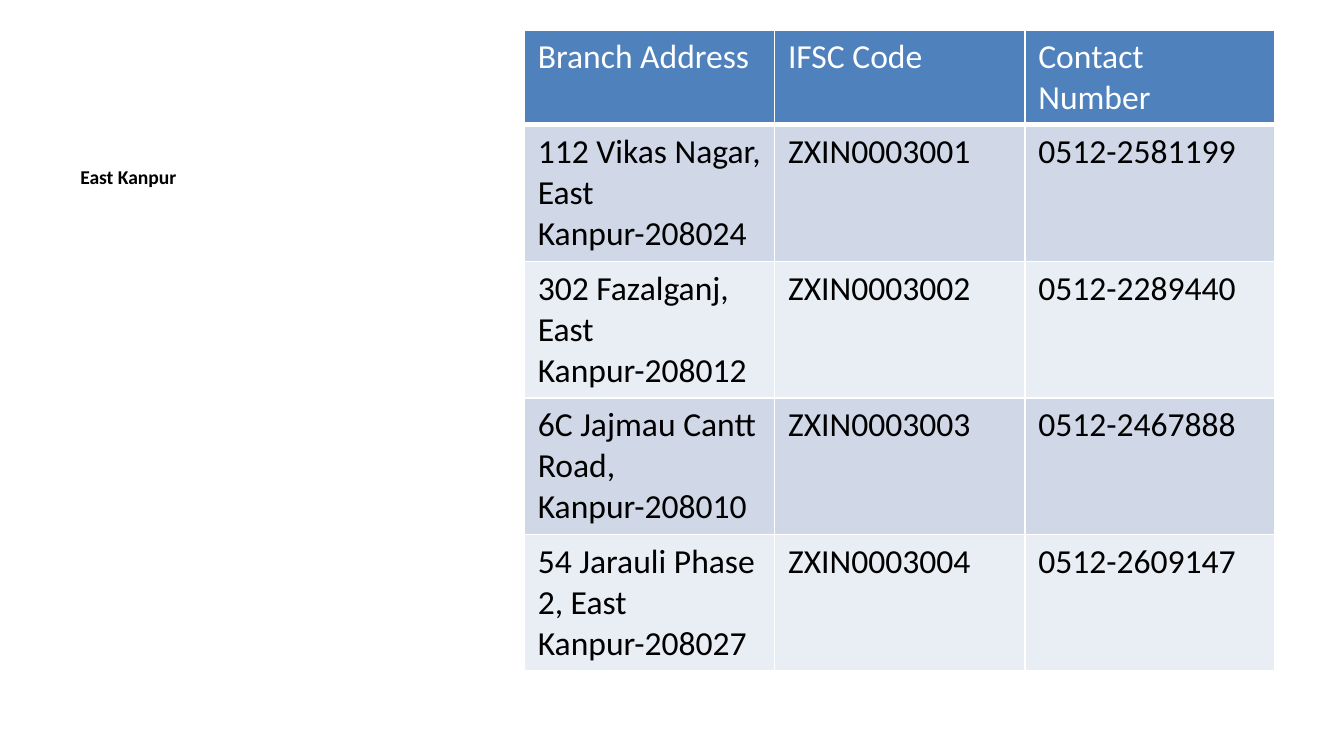
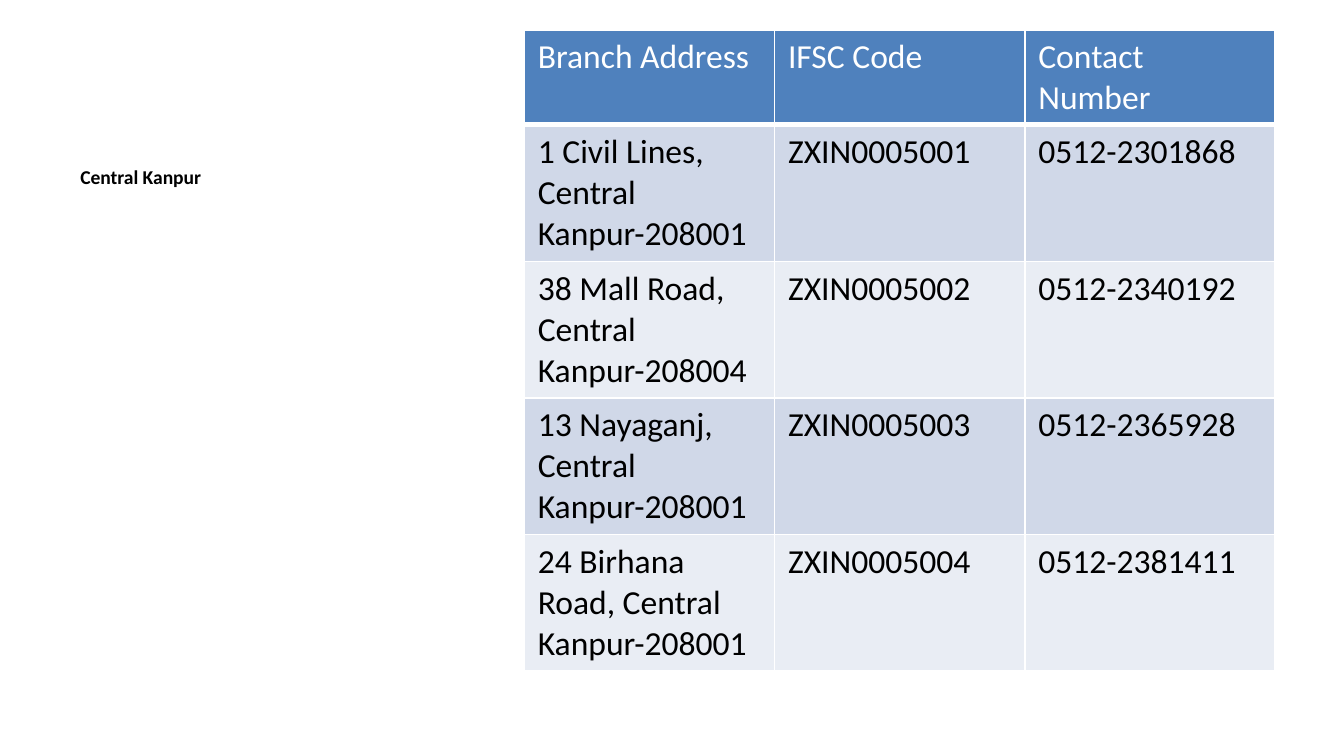
"""Build two slides that list bank branches by area of Kanpur."""
from lxml.etree import SubElement as Sub
from pptx import Presentation as Deck
from pptx.dml.color import RGBColor as Rgb
from pptx.oxml.ns import qn
from pptx.util import Cm, Pt

FONT = "Calibri"
WHITE, BLACK, BLUE = "FFFFFF", "000000", "4F81BD"
BANDS = ("D0D8E8", "E9EDF4")
HEADS = ("Branch Address", "IFSC Code", "Contact Number")
COL, HEAD, ROW = 4.73, 1.79, 2.58

AREAS = {
    "East Kanpur": (
        ("112 Vikas Nagar, East Kanpur-208024", "ZXIN0003001", "0512-2581199"),
        ("302 Fazalganj, East Kanpur-208012", "ZXIN0003002", "0512-2289440"),
        ("6C Jajmau Cantt Road, Kanpur-208010", "ZXIN0003003", "0512-2467888"),
        ("54 Jarauli Phase 2, East Kanpur-208027", "ZXIN0003004", "0512-2609147"),
    ),
    "Central Kanpur": (
        ("1 Civil Lines, Central Kanpur-208001", "ZXIN0005001", "0512-2301868"),
        ("38 Mall Road, Central Kanpur-208004", "ZXIN0005002", "0512-2340192"),
        ("13 Nayaganj, Central Kanpur-208001", "ZXIN0005003", "0512-2365928"),
        ("24 Birhana Road, Central Kanpur-208001", "ZXIN0005004", "0512-2381411"),
    ),
}


def paint(target, color):
    """Give a fill or a font a hex colour."""
    target.rgb = Rgb.from_string(color)


def write(frame, text, size=18, color=BLACK, bold=False):
    """Put one formatted paragraph in a text frame."""
    frame.word_wrap = True
    part = frame.paragraphs[0].add_run()
    part.text = text
    part.font.name, part.font.size, part.font.bold = FONT, Pt(size), bold
    paint(part.font.color, color)


def edge(cell, base=1):
    """Draw white cell borders, with a bottom line of the given points."""
    props = cell._tc.get_or_add_tcPr()
    for side, width in zip("LRTB", (1, 1, 1, base)):
        line = Sub(props, qn(f"a:ln{side}"), w=str(Pt(width)))
        Sub(Sub(line, qn("a:solidFill")), qn("a:srgbClr"), val=WHITE)


def label(slide, text):
    """Add the area name on the left."""
    box = slide.shapes.add_textbox(Cm(1.27), Cm(3), Cm(8.36), Cm(9.78))
    write(box.text_frame, text, size=10.5, bold=True)


def grid(slide, rows):
    """Add the branch table with a header and banded rows."""
    lines = (HEADS, *rows)
    table = slide.shapes.add_table(
        len(lines), len(HEADS), Cm(9.91), Cm(0.57),
        Cm(COL * len(HEADS)), Cm(HEAD + ROW * len(rows))).table
    for col in table.columns:
        col.width = Cm(COL)
    for i, line in enumerate(lines):
        top = i == 0
        table.rows[i].height = Cm(HEAD if top else ROW)
        for j, text in enumerate(line):
            cell = table.cell(i, j)
            edge(cell, base=3 if top else 1)
            cell.fill.solid()
            paint(cell.fill.fore_color, BLUE if top else BANDS[(i - 1) % 2])
            write(cell.text_frame, text, color=WHITE if top else BLACK)


def main():
    """Build and save the deck."""
    deck = Deck()
    deck.slide_width, deck.slide_height = Cm(25.4), Cm(14.29)
    for area, rows in AREAS.items():
        slide = deck.slides.add_slide(deck.slide_layouts[6])
        label(slide, area)
        grid(slide, rows)
    deck.save("out.pptx")


if __name__ == "__main__":
    main()
